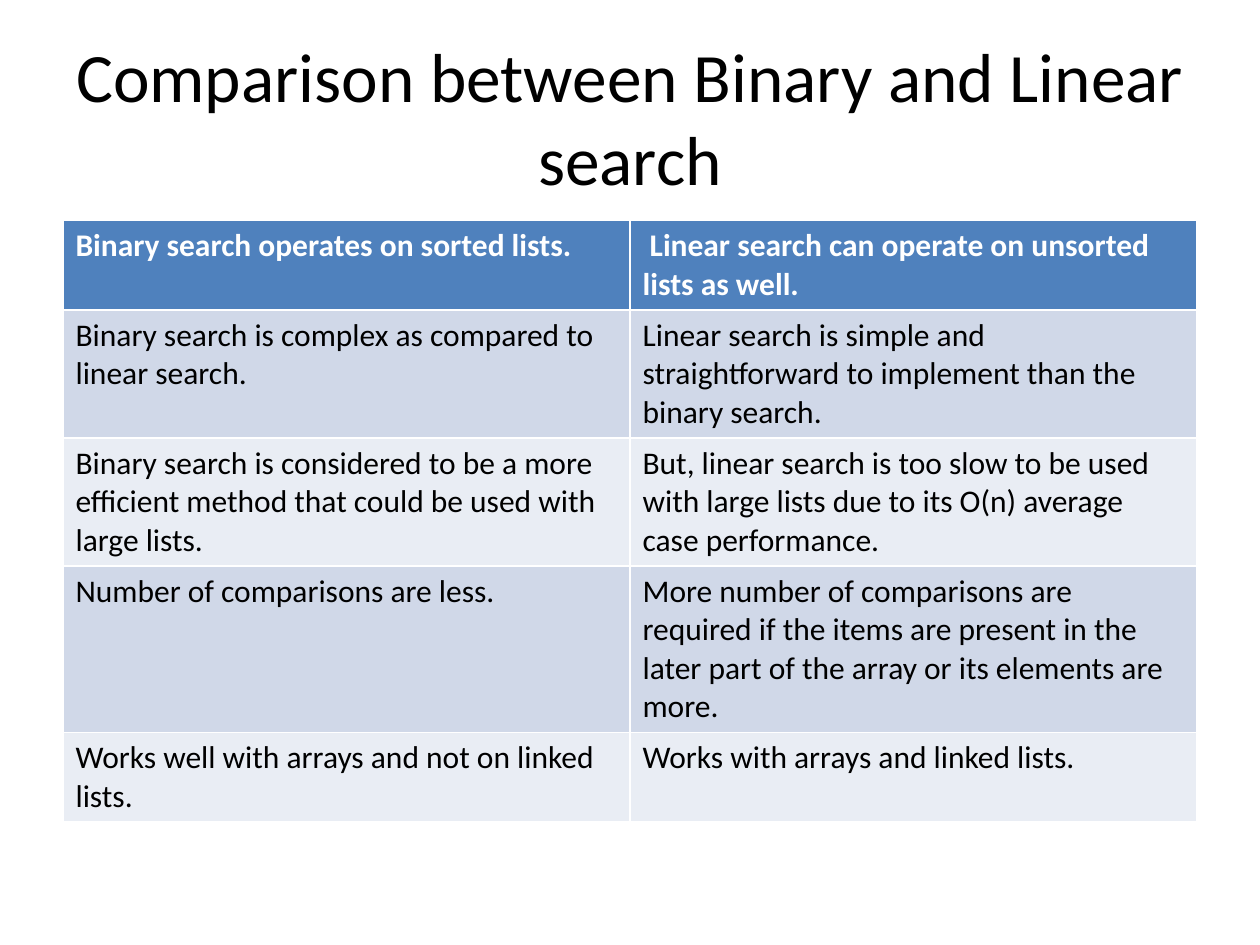
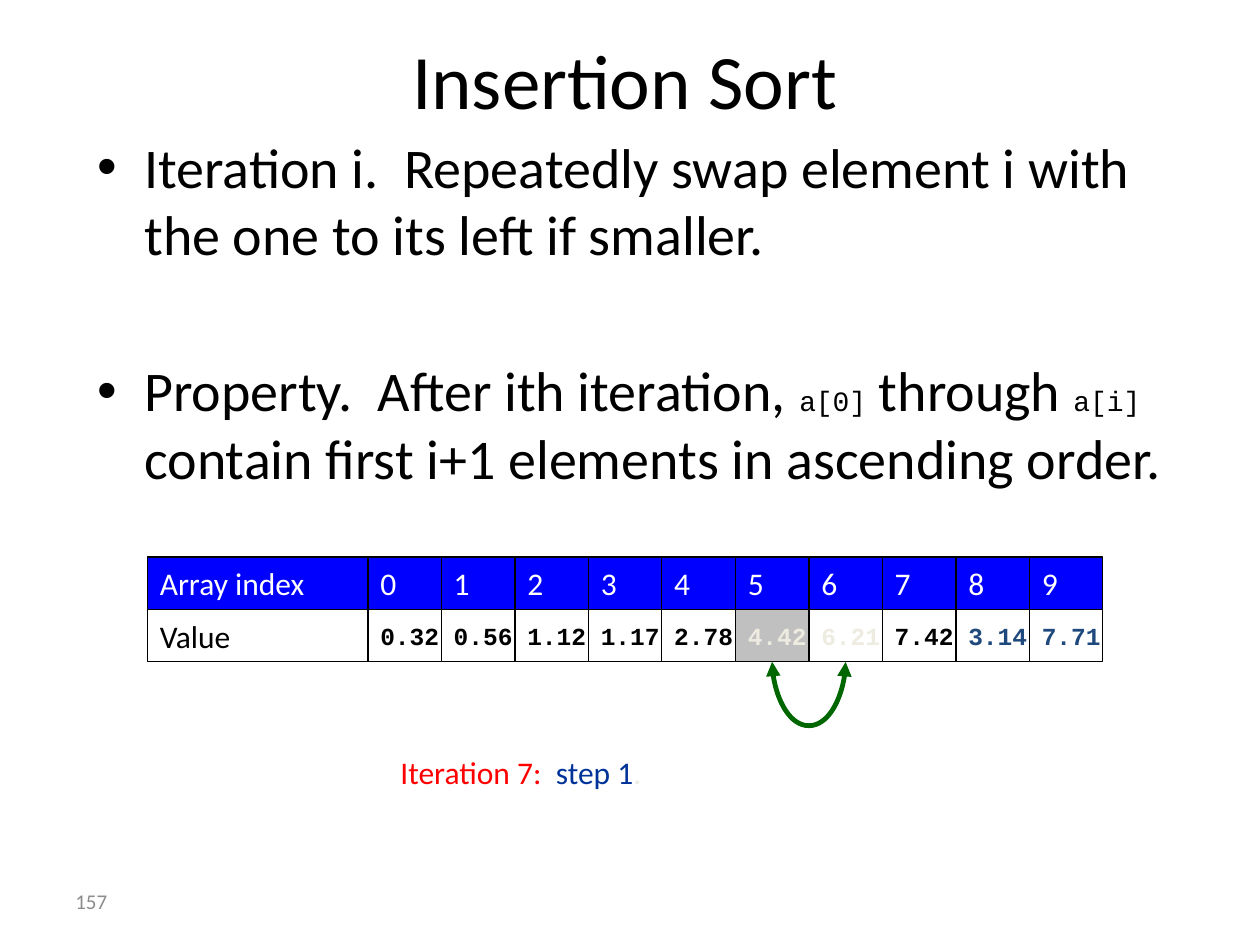
import pptx
import pptx.util
import pptx.dml.color
import pptx.enum.shapes
import pptx.enum.text
import pptx.oxml
import pptx.oxml.ns
from pptx.util import Inches

# Content
COMPARISON_TITLE = "Comparison between Binary and Linear search"
COMPARISON = [
    ("Binary search operates on sorted lists.",
     " Linear search can operate on unsorted lists as well."),
    ("Binary search is complex as compared to linear search.",
     "Linear search is simple and straightforward to implement than the binary search."),
    ("Binary search is considered to be a more efficient method that could be used with large lists.",
     "But, linear search is too slow to be used with large lists due to its O(n) average case performance."),
    ("Number of comparisons are less.",
     "More number of comparisons are required if the items are present in the later part of the array "
     "or its elements are more."),
    ("Works well with arrays and not on linked lists.",
     "Works with arrays and linked lists."),
]
SORT_TITLE = "Insertion Sort"
# Each bullet is a list of (text, is_code)
SORT_BULLETS = [
    [("Iteration i.  Repeatedly swap element i with the one to its left if smaller.", False)],
    [("Property.  After ith iteration, ", False), ("a[0]", True), (" through ", False),
     ("a[i]", True), (" contain first i+1 elements in ascending order.", False)],
]
VALUES = ["0.32", "0.56", "1.12", "1.17", "2.78", "4.42", "6.21", "7.42", "3.14", "7.71"]
SWAP = (5, 6)
FIRST_UNSORTED = 8
PAGE_NUMBER = "157"

# Shared style
FONT, CODE_FONT = "Calibri", "Courier New"
BLACK, WHITE, CREAM, NAVY = "000000", "FFFFFF", "EEECE1", "1F497D"
HEADER_FILL, BAND_FILLS = "4F81BD", ("D0D8E8", "E9EDF4")
INDEX_FILL, SWAP_FILL, SWAP_ARROW = "0000FF", "C0C0C0", "006600"
CAPTION = [("Iteration 7:  ", "FF0000"), ("step 1", "003399"), (".", CREAM)]

# Array grid in inches
ARRAY_LEFT, ARRAY_TOP, LABEL_WIDTH = 1.17, 4.42, 1.75
CELL_WIDTH, CELL_HEIGHT = 7 / 12, 5 / 12
ARROW_DEPTH = 0.56


def rgb(value):
    return pptx.dml.color.RGBColor.from_string(value)


def style(font, size, color=BLACK, name=FONT, bold=False):
    font.size = pptx.util.Pt(size)
    font.name = name
    font.bold = bold
    font.color.rgb = rgb(color)


def place(shape, left, top, width, height):
    shape.left, shape.top = Inches(left), Inches(top)
    shape.width, shape.height = Inches(width), Inches(height)


def add_titled_slide(deck, layout, title, size, left, top):
    slide = deck.slides.add_slide(deck.slide_layouts[layout])
    heading = slide.shapes.title
    place(heading, left, top, 9, 1.25)
    heading.text_frame.text = title
    heading.text_frame.vertical_anchor = pptx.enum.text.MSO_ANCHOR.MIDDLE
    paragraph = heading.text_frame.paragraphs[0]
    paragraph.alignment = pptx.enum.text.PP_ALIGN.CENTER
    style(paragraph.font, size)
    return slide


def add_array_cell(slide, text, left, row, width, fill, **font):
    cell = slide.shapes.add_shape(
        pptx.enum.shapes.MSO_SHAPE.RECTANGLE, Inches(left),
        Inches(ARRAY_TOP + row * CELL_HEIGHT), Inches(width), Inches(CELL_HEIGHT))
    cell.shadow.inherit = False
    cell.fill.solid()
    cell.fill.fore_color.rgb = rgb(fill)
    cell.line.color.rgb = rgb(BLACK)
    cell.line.width = pptx.util.Pt(0.75)
    cell.text_frame.word_wrap = False
    cell.text_frame.text = text
    style(cell.text_frame.paragraphs[0].font, **font)
    return cell


def add_swap_arrow(slide, first, second):
    arrow = slide.shapes.add_connector(pptx.enum.shapes.MSO_CONNECTOR.CURVE, 0, 0, 0, 0)
    arrow.begin_connect(first, 2)
    arrow.end_connect(second, 2)
    arrow.line.color.rgb = rgb(SWAP_ARROW)
    arrow.line.width = pptx.util.Pt(2.75)

    # A thin connector turned a quarter, bulging below the two cells
    span = second.left - first.left
    thickness = 1588
    arrow.width, arrow.height = thickness, span
    arrow.left = first.left + (first.width + span - thickness) // 2
    arrow.top = first.top + first.height - span // 2
    properties = arrow._element.spPr
    frame = properties.find(pptx.oxml.ns.qn("a:xfrm"))
    frame.set("rot", str(270 * 60000))
    frame.set("flipH", "1")
    frame.attrib.pop("flipV", None)
    bulge = round(Inches(ARROW_DEPTH) / thickness * 100000)
    guides = properties.find(pptx.oxml.ns.qn("a:prstGeom")).get_or_add_avLst()
    guides.append(pptx.oxml.parse_xml(
        f'<a:gd {pptx.oxml.ns.nsdecls("a")} name="adj1" fmla="val {bulge}"/>'))
    for end in ("headEnd", "tailEnd"):
        arrow.line._get_or_add_ln().append(pptx.oxml.parse_xml(
            f'<a:{end} {pptx.oxml.ns.nsdecls("a")} type="triangle"/>'))
    properties.append(pptx.oxml.parse_xml(f'<a:effectLst {pptx.oxml.ns.nsdecls("a")}/>'))


def add_comparison(deck):
    slide = add_titled_slide(deck, 5, COMPARISON_TITLE, 39.6, 0.5, 0.3)
    table = slide.shapes.add_table(len(COMPARISON), 2, Inches(0.5), Inches(1.75),
                                   Inches(9), Inches(0.41 * len(COMPARISON))).table
    for row, statements in enumerate(COMPARISON):
        header = row == 0
        for column, statement in enumerate(statements):
            cell = table.cell(row, column)
            cell.text = statement
            cell.fill.solid()
            cell.fill.fore_color.rgb = rgb(HEADER_FILL if header else BAND_FILLS[(row - 1) % 2])
            style(cell.text_frame.paragraphs[0].font, 18, WHITE if header else BLACK, bold=header)


def add_insertion_sort(deck):
    slide = add_titled_slide(deck, 1, SORT_TITLE, 44, 0.46, 0)

    # Bullets
    body = slide.placeholders[1]
    place(body, 0.67, 1, 8.83, 5.92)
    for number, pieces in enumerate(SORT_BULLETS):
        paragraph = body.text_frame.paragraphs[0] if number == 0 else body.text_frame.add_paragraph()
        paragraph.space_before = pptx.util.Pt(51 if number else 0)
        for text, is_code in pieces:
            run = paragraph.add_run()
            run.text = text
            style(run.font, 16 if is_code else 32, name=CODE_FONT if is_code else FONT)

    # Array: index row above value row
    add_array_cell(slide, "Array index", ARRAY_LEFT, 0, LABEL_WIDTH, INDEX_FILL, size=18, color=WHITE)
    add_array_cell(slide, "Value", ARRAY_LEFT, 1, LABEL_WIDTH, WHITE, size=18)
    value_cells = []
    for index, value in enumerate(VALUES):
        left = ARRAY_LEFT + LABEL_WIDTH + index * CELL_WIDTH
        color = CREAM if index in SWAP else NAVY if index >= FIRST_UNSORTED else BLACK
        add_array_cell(slide, str(index), left, 0, CELL_WIDTH, INDEX_FILL, size=18, color=WHITE)
        value_cells.append(add_array_cell(
            slide, value, left, 1, CELL_WIDTH, SWAP_FILL if index == SWAP[0] else WHITE,
            size=14, color=color, name=CODE_FONT, bold=True))
    add_swap_arrow(slide, *(value_cells[index] for index in SWAP))

    # Caption and page number
    caption = slide.shapes.add_textbox(Inches(3.08), Inches(5.93), Inches(4.08), Inches(0.4))
    caption.text_frame.word_wrap = True
    for text, color in CAPTION:
        run = caption.text_frame.paragraphs[0].add_run()
        run.text = text
        style(run.font, 18, color)
    page = slide.shapes.add_textbox(Inches(0.5), Inches(6.95), Inches(2.33), Inches(0.4))
    page.text_frame.word_wrap = True
    page.text_frame.vertical_anchor = pptx.enum.text.MSO_ANCHOR.MIDDLE
    page.text_frame.text = PAGE_NUMBER
    style(page.text_frame.paragraphs[0].font, 12, "8C8C8C")


def main():
    deck = pptx.Presentation()
    deck.slide_width, deck.slide_height = Inches(10), Inches(7.5)
    add_comparison(deck)
    add_insertion_sort(deck)
    deck.save("out.pptx")


if __name__ == "__main__":
    main()
